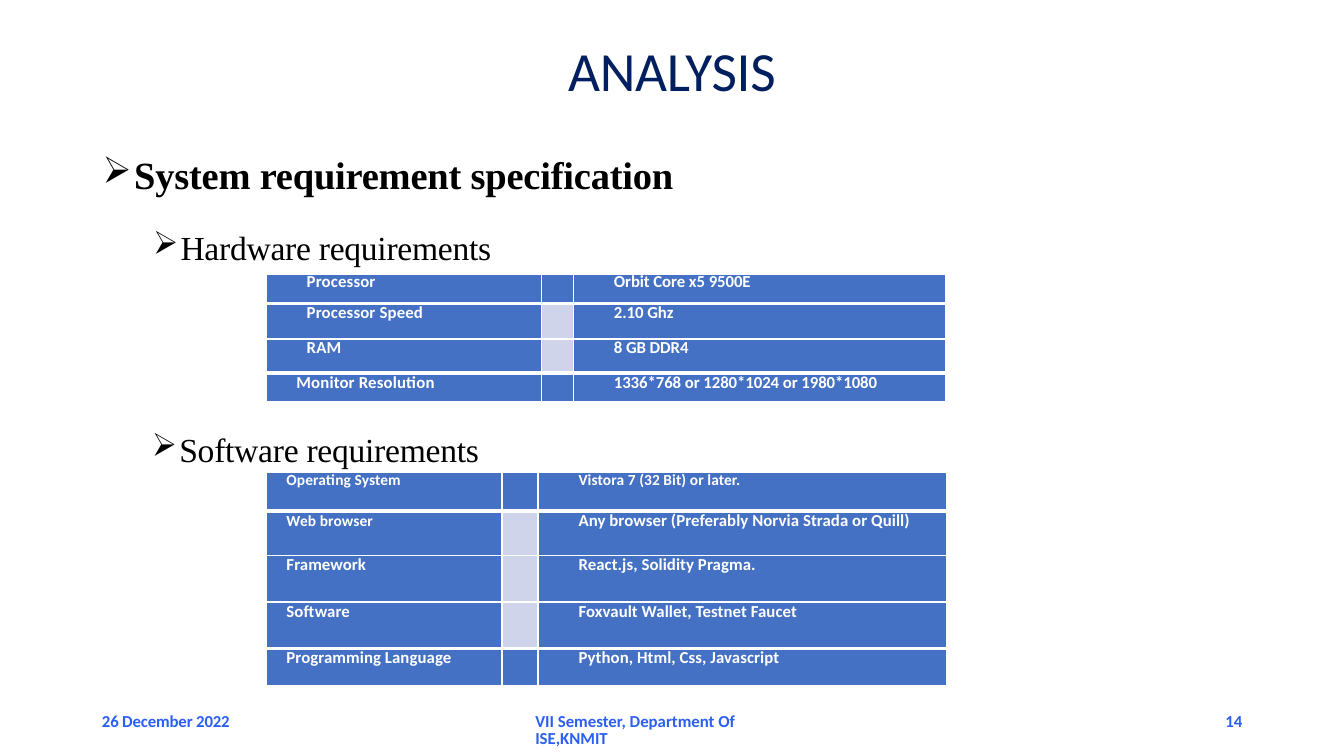
import lxml.etree
import pptx
import pptx.dml.color
import pptx.oxml.ns
import pptx.util

Cm = pptx.util.Cm
Pt = pptx.util.Pt
qn = pptx.oxml.ns.qn


def color(code):
    """Turn a hex string into a colour."""
    return pptx.dml.color.RGBColor.from_string(code)


def write(para, text, size=12, font="Calibri", ink="FFFFFF", bold=False, tracking=0,
          left=0, hanging=0, before=0, line=None, level=0, bullet=None):
    """Fill a paragraph with one formatted run."""
    para.level = level
    para.space_before = Pt(before)
    if line:
        para.line_spacing = Pt(line)
    layout = para._p.get_or_add_pPr()
    layout.set("marL", str(Cm(left)))
    layout.set("indent", str(Cm(-hanging)))
    if bullet:
        lxml.etree.SubElement(layout, qn("a:buSzPct"), val="96000")
        lxml.etree.SubElement(layout, qn("a:buChar"), char=bullet)
    span = para.add_run()
    span.text = text
    span.font.size = Pt(size)
    span.font.name = font
    span.font.bold = bold
    span.font.color.rgb = color(ink)
    span._r.get_or_add_rPr().set("spc", str(round(tracking * 100)))


class Page:
    """Hold the slide and its table style."""

    main_fill = "4471C4"
    pale_fill = "CFD4EA"
    border_ink = "FFFFFF"

    def __init__(self, deck):
        """Add a blank slide to the deck."""
        self.slide = deck.slides.add_slide(deck.slide_layouts[6])

    def text(self, left, top, width, height, *lines, inset=0):
        """Add a text box with one paragraph per line."""
        box = self.slide.shapes.add_textbox(Cm(left), Cm(top), Cm(width), Cm(height))
        frame = box.text_frame
        frame.word_wrap = True
        frame.margin_left = frame.margin_right = frame.margin_bottom = 0
        frame.margin_top = Cm(inset)
        for index, line in enumerate(lines):
            para = frame.add_paragraph() if index else frame.paragraphs[0]
            write(para, **line)

    def borders(self, cell, top, bottom):
        """Draw the four borders of a cell."""
        properties = cell._tc.get_or_add_tcPr()
        for side, width in (("L", 1), ("R", 1), ("T", top), ("B", bottom)):
            edge = lxml.etree.SubElement(properties, qn(f"a:ln{side}"), w=str(Pt(width)))
            paint = lxml.etree.SubElement(edge, qn("a:solidFill"))
            lxml.etree.SubElement(paint, qn("a:srgbClr"), val=self.border_ink)

    def table(self, left, top, widths, heights, rows):
        """Add a table with a narrow empty middle column."""
        frame = self.slide.shapes.add_table(len(rows), len(widths), Cm(left), Cm(top),
                                            Cm(sum(widths)), Cm(sum(heights)))
        grid = frame.table
        grid.first_row = grid.horz_banding = False
        for column, width in zip(grid.columns, widths):
            column.width = Cm(width)
        last = len(rows) - 1
        for r, (height, contents) in enumerate(zip(heights, rows)):
            grid.rows[r].height = Cm(height)
            for c, content in enumerate((contents[0], None, contents[1])):
                cell = grid.cell(r, c)
                cell.margin_left = cell.margin_right = cell.margin_top = cell.margin_bottom = 0
                self.borders(cell, 3 if r in (1, last) else 1, 3 if r in (0, last - 1, last) else 1)
                cell.fill.solid()
                pale = c == 1 and 0 < r < last
                cell.fill.fore_color.rgb = color(self.pale_fill if pale else self.main_fill)
                para = cell.text_frame.paragraphs[0]
                if content:
                    write(para, bold=True, **content)
                else:
                    lxml.etree.SubElement(para._p, qn("a:endParaRPr"), sz="1000")


def entry(text, left, line, size=12, tracking=0.05):
    """Describe the text of one table cell."""
    return dict(text=text, left=left, line=line, size=size, tracking=tracking)


def main():
    """Build the slide and save it."""
    deck = pptx.Presentation()
    deck.slide_width, deck.slide_height = Cm(33.87), Cm(19.05)
    page = Page(deck)

    page.text(14.27, 0.86, 5.6, 1.75,
              dict(text="ANALYSIS", size=39.5, ink="001F5F", tracking=-0.2, left=0.05, before=1.3),
              inset=0.05)
    footer = dict(ink="2B5FF3", bold=True, line=12.4)
    page.text(2.54, 17.98, 3.5, 0.43,
              dict(text="26 December 2022", left=0.03, tracking=-0.1, **footer))
    page.text(13.46, 17.98, 6.8, 0.48,
              dict(text="VII Semester, Department Of ISE,KNMIT", left=0.03, **footer))
    page.text(30.78, 17.98, 0.8, 0.48, dict(text="14", left=0.1, **footer))

    heading = dict(font="Times New Roman", ink="000000", bullet="➢")
    page.text(2.54, 3.76, 14.78, 3,
              dict(text="System requirement specification", size=27.5, bold=True, tracking=-0.15,
                   left=0.84, hanging=0.79, before=1.3, **heading),
              dict(text="Hardware requirements", size=24, tracking=-0.2, level=1,
                   left=2.01, hanging=0.69, before=20.8, **heading),
              inset=0.05)
    page.text(3.81, 10.77, 8.33, 1.09,
              dict(text="Software requirements", size=24, tracking=-0.2,
                   left=0.71, hanging=0.69, before=1, **heading),
              inset=0.03)

    hardware = [
        ("Processor", "Orbit Core x5 9500E", 1.02, 12.4),
        ("Processor Speed", "2.10 Ghz", 1.02, 13.9),
        ("RAM", "8 GB DDR4", 1.02, 14),
        ("Monitor Resolution", "1336*768 or 1280*1024 or 1980*1080", 0.76, 14.1),
    ]
    page.table(6.71, 6.91, [6.93, 0.81, 9.37], [0.74, 0.89, 0.86, 0.74],
               [(entry(name, indent, line, tracking=0.1), entry(value, 1.02, line, tracking=-0.05))
                for name, value, indent, line in hardware])

    software = [
        ("Operating System", "Vistora 7 (32 Bit) or later.", 11, 11, 12.4),
        ("Web browser", "Any browser (Preferably Norvia Strada or Quill)", 11, 12, 14.2),
        ("Framework", "React.js, Solidity Pragma.", 12, 12, 14.2),
        ("Software", "Foxvault Wallet, Testnet Faucet", 12, 12, 14.2),
        ("Programming Language", "Python, Html, Css, Javascript", 12, 12, 14.3),
    ]
    page.table(6.71, 11.91, [5.94, 0.91, 10.29], [0.97, 1.12, 1.17, 1.17, 0.97],
               [(entry(name, 0.51, line, name_size), entry(value, 1.02, line, value_size))
                for name, value, name_size, value_size, line in software])

    deck.save("out.pptx")


if __name__ == "__main__":
    main()
